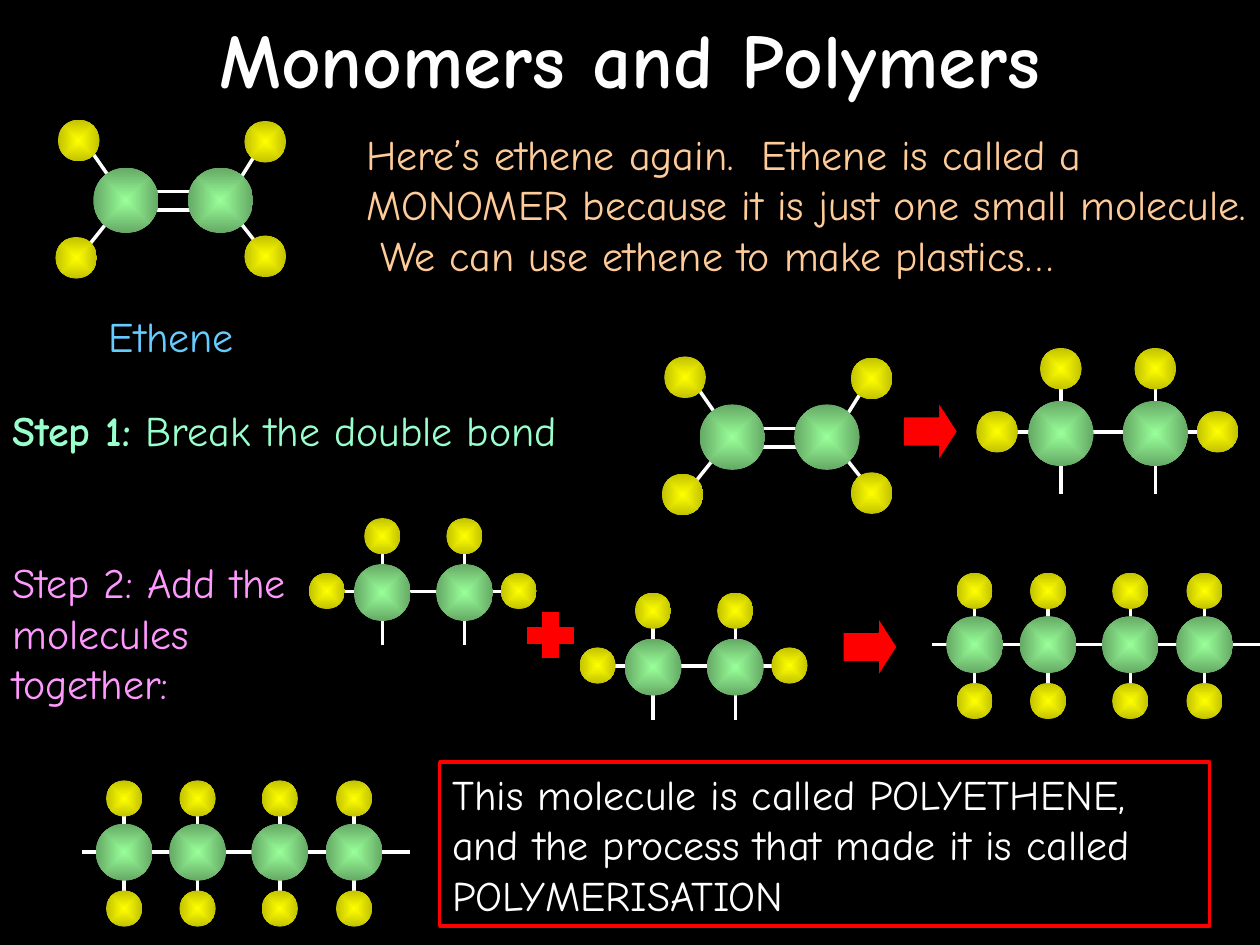
from lxml import etree
from pptx import Presentation
from pptx.dml.color import RGBColor
from pptx.enum import shapes, text
from pptx.oxml import ns
from pptx.util import Pt

HUES = {
    "back": "000000", "white": "FFFFFF", "red": "FF0000", "peach": "FFCC99",
    "sky": "66CCFF", "mint": "99FFCC", "pink": "FF99FF",
    "green": "99FF99", "moss": "65A865", "yellow": "FFFF00", "gold": "C2C200",
}
FACE = "Comic Neue"
ATOMS = {"C": (37.4, "green", "moss"), "H": (23.8, "yellow", "gold")}

ETHENE = {
    "bonds": [(8.6, 5.6, 59.8, 5.6), (79.2, -34.6, 61.2, -5.8),
              (-26.6, 32.4, -3.6, 3.6), (57.6, 2.9, 78.5, 29.5),
              (-23.8, -33.8, 2.2, 3.6), (-9.4, -5, 62.6, -5)],
    "C": [(0, 0), (54, 0)],
    "H": [(79.6, 32), (-28.4, 32.8), (79.6, -33.5), (-27, -34.2)],
}
OPENED = {
    "bonds": [(54, -36.7, 54, 34.6), (0, -31, 0, 34.6), (-36.7, -0.7, 83.5, -0.7)],
    "C": [(0, 0), (54, 0)],
    "H": [(-36.4, -1), (54, -37), (89.6, -1), (0, -37)],
}
CHAIN = (0, 48.2, 102.2, 151)
POLYMER = {
    "bonds": [(x, -31, x, 35) for x in CHAIN] + [(-27.8, 0, 188, 0)],
    "C": [(x, 0) for x in CHAIN],
    "H": [(x, y) for y in (-35.3, 37) for x in CHAIN],
}
SMALL = 0.87
MOLES = [
    (ETHENE, 72, 114.5, 1),
    (OPENED, 606.2, 247.7, 1),
    (ETHENE, 418.5, 249.8, 1),
    (POLYMER, 557, 368.4, SMALL),
    (OPENED, 218.5, 338.6, SMALL),
    (OPENED, 373.2, 381.2, SMALL),
    (POLYMER, 71, 487, SMALL),
]

KIND = shapes.MSO_SHAPE
SIGNS = [
    (KIND.RIGHT_ARROW, (516.2, 229.7, 31, 33.8), (0.5, 0.35)),
    (KIND.RIGHT_ARROW, (481.7, 352.8, 31, 33.8), (0.5, 0.35)),
    (KIND.CROSS, (301, 349.2, 27.4, 27.4), (0.31,)),
]

MID, LEFT = text.PP_ALIGN.CENTER, text.PP_ALIGN.LEFT
TEXTS = [
    ((0, 0, 720, 65.5), 44, "white", MID, [("Monomers and Polymers", True)]),
    ((41, 174.2, 113.8, 36), 24, "sky", MID, [("Ethene", False)]),
    ((202.3, 69.8, 517.7, 93.6), 24, "peach", LEFT,
     [("Here’s ethene again.  Ethene is called a MONOMER because it is just one "
       "small molecule.  We can use ethene to make plastics…", False)]),
    ((0, 227.5, 566, 36), 24, "mint", LEFT,
     [("Step 1: ", True), ("Break the double bond", False)]),
    ((0, 314.6, 190.8, 93.6), 24, "pink", LEFT,
     [("Step 2: Add the molecules together:", False)]),
    ((251.3, 435.6, 440, 93.6), 24, "white", LEFT,
     [("This molecule is called POLYETHENE, and the process that made it is "
       "called POLYMERISATION", False)]),
]


def hue(name):
    return RGBColor.from_string(HUES[name])


def pts(nums):
    return [Pt(n) for n in nums]


def draw_bond(ends):
    bond = slide.shapes.add_connector(shapes.MSO_CONNECTOR.STRAIGHT, *pts(ends))
    bond.line.color.rgb = hue("white")
    bond.line.width = Pt(2)
    etree.SubElement(bond._element.spPr, ns.qn("a:effectLst"))


def draw_atom(x, y, size, core, rim):
    atom = slide.shapes.add_shape(
        KIND.OVAL, *pts((x - size / 2, y - size / 2, size, size)))
    atom.shadow.inherit = False
    atom.line.fill.background()
    atom.fill.gradient()
    for stop, name, pos in zip(atom.fill.gradient_stops, (core, rim), (0, 1)):
        stop.color.rgb = hue(name)
        stop.position = pos
    grad = atom._element.spPr.find(ns.qn("a:gradFill"))
    grad.remove(grad.find(ns.qn("a:lin")))
    way = etree.SubElement(grad, ns.qn("a:path"), path="rect")
    half = dict.fromkeys("ltrb", "50000")
    etree.SubElement(way, ns.qn("a:fillToRect"), **half)


def draw_mole(mole, left, top, scale):
    for a, b, c, d in mole["bonds"]:
        draw_bond((left + a * scale, top + b * scale,
                   left + c * scale, top + d * scale))
    for kind, (size, core, rim) in ATOMS.items():
        for x, y in mole[kind]:
            draw_atom(left + x * scale, top + y * scale, size * scale, core, rim)


def draw_sign(kind, place, bends):
    sign = slide.shapes.add_shape(kind, *pts(place))
    sign.shadow.inherit = False
    sign.fill.solid()
    sign.fill.fore_color.rgb = hue("red")
    sign.line.color.rgb = hue("back")
    sign.line.width = Pt(0.75)
    for i, bend in enumerate(bends):
        sign.adjustments[i] = bend


def draw_text(place, size, name, align, runs):
    box = slide.shapes.add_textbox(*pts(place))
    frame = box.text_frame
    frame.word_wrap = True
    frame.vertical_anchor = text.MSO_ANCHOR.MIDDLE if size > 24 else text.MSO_ANCHOR.TOP
    para = frame.paragraphs[0]
    para.alignment = align
    para.font.name, para.font.size = FACE, Pt(size)
    para.font.color.rgb = hue(name)
    for words, bold in runs:
        run = para.add_run()
        run.text = words
        run.font.bold = bold
    return box


deck = Presentation()
deck.slide_width, deck.slide_height = Pt(720), Pt(540)
slide = deck.slides.add_slide(deck.slide_layouts[6])
slide.background.fill.solid()
slide.background.fill.fore_color.rgb = hue("back")

for mole in MOLES:
    draw_mole(*mole)
for sign in SIGNS:
    draw_sign(*sign)
boxes = [draw_text(*item) for item in TEXTS]
frame = boxes[-1].line
frame.color.rgb = hue("red")
frame.width = Pt(2)

deck.save("out.pptx")
